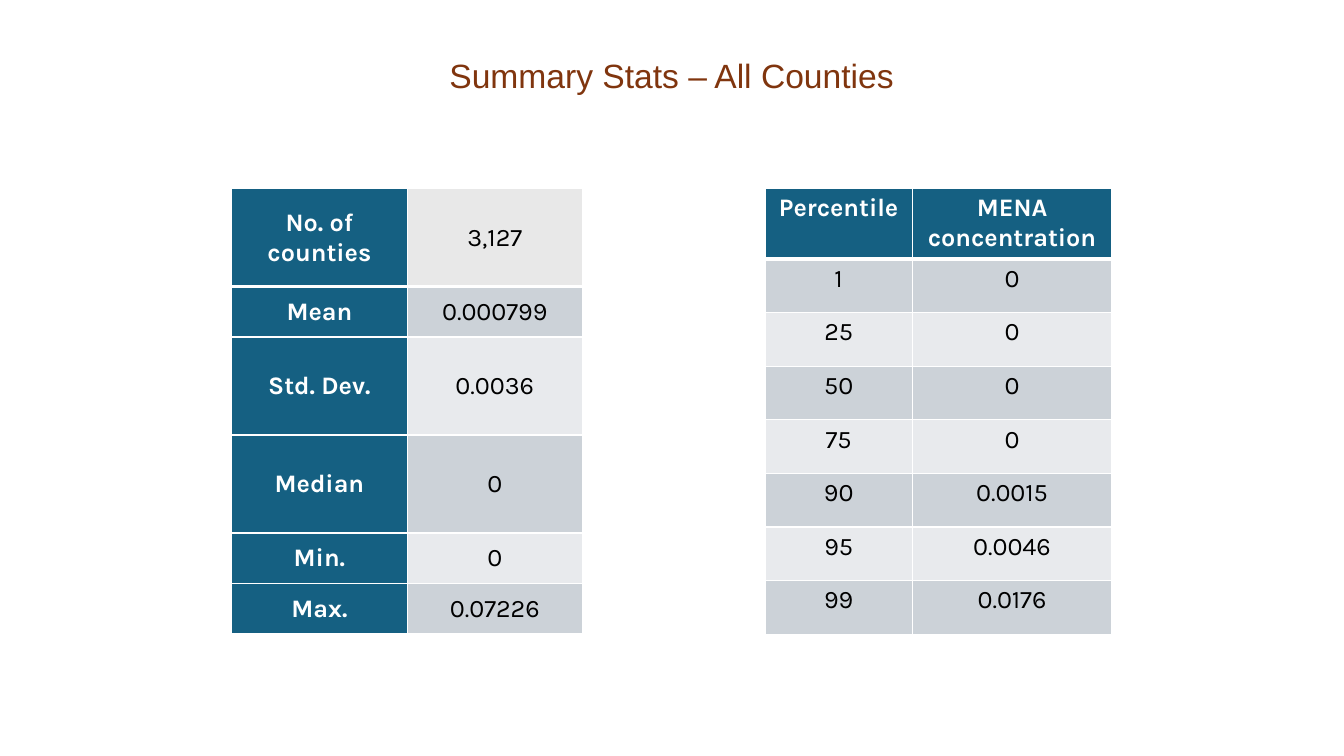
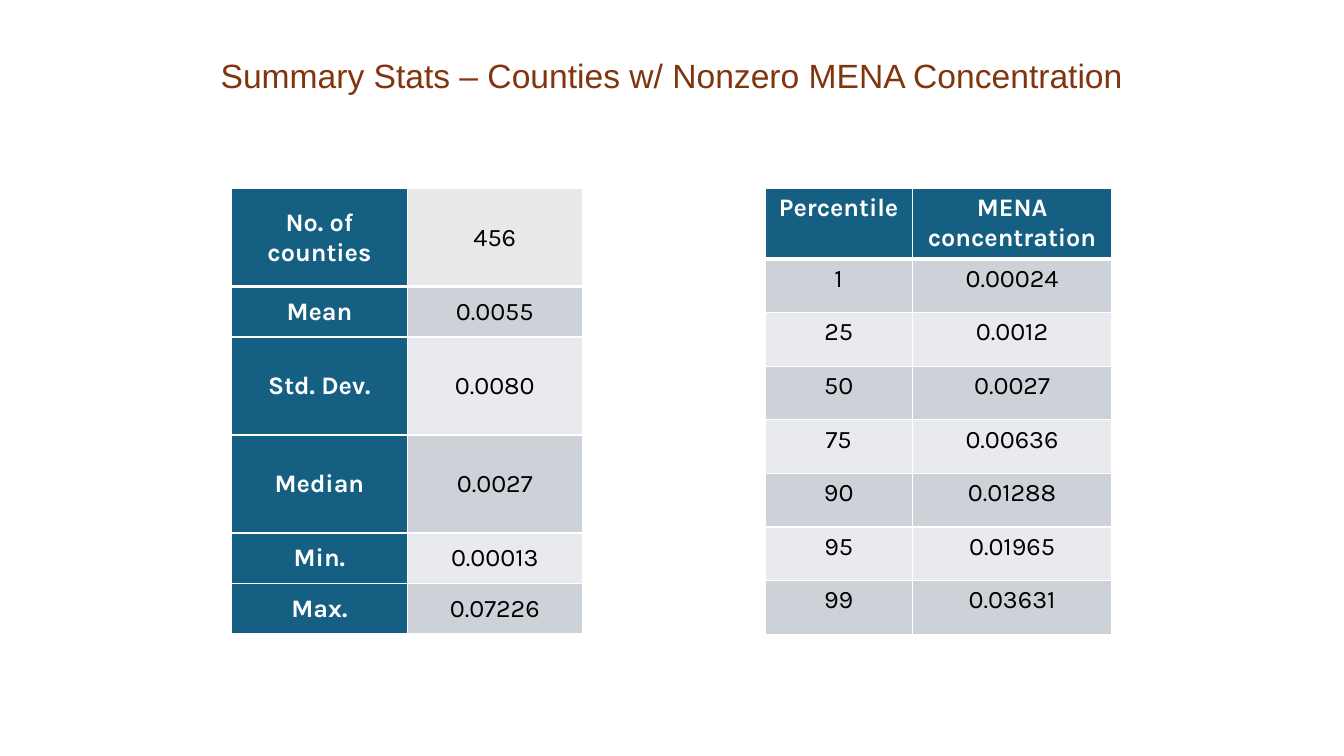
from dataclasses import dataclass

from lxml import etree
from pptx import Presentation
from pptx import util as u
from pptx.dml.color import RGBColor
from pptx.enum import text
from pptx.oxml import ns


@dataclass(frozen=True)
class Theme:
    title_color: str = "80350E"
    header_fill: str = "156082"
    header_text: str = "FFFFFF"
    body_text: str = "000000"
    count_fill: str = "E8E8E8"
    bands: tuple = ("E8EAED", "CCD2D8")
    rule: str = "FFFFFF"
    thin: float = 1
    thick: float = 3
    title_font: str = "Arial"
    table_font: str = "Karla"
    title_size: int = 24
    table_size: int = 18


THEME = Theme()
TABLE_TOP = 4.75
STATS_LEFT, STATS_COLUMNS = 5.84, (4.42, 4.42)
STATS_ROWS = (2.47, 1.27, 2.47, 2.47, 1.27, 1.27)
STATS_LABELS = ("No. of counties", "Mean", "Std. Dev.", "Median", "Min.", "Max.")
PERCENTILE_LEFT, PERCENTILE_COLUMNS = 19.28, (3.71, 5.03)
PERCENTILE_ROWS = (1.76,) + (1.35,) * 7
PERCENTILES = ("1", "25", "50", "75", "90", "95", "99")

SLIDES = (
    ("Summary Stats – All Counties",
     ("3,127", "0.000799", "0.0036", "0", "0", "0.07226"),
     ("0", "0", "0", "0", "0.0015", "0.0046", "0.0176")),
    ("Summary Stats – Counties w/ Nonzero MENA Concentration",
     ("456", "0.0055", "0.0080", "0.0027", "0.00013", "0.07226"),
     ("0.00024", "0.0012", "0.0027", "0.00636", "0.01288", "0.01965", "0.03631")),
)


def style_paragraph(para, font, size, color, bold=False):
    para.alignment = text.PP_ALIGN.CENTER
    para.font.name = font
    para.font.size = u.Pt(size)
    para.font.bold = bold
    para.font.color.rgb = RGBColor.from_string(color)


def add_title(slide, title):
    box = slide.shapes.add_textbox(u.Cm(4.06), u.Cm(1.27), u.Cm(25.73), u.Cm(1.28))
    frame = box.text_frame
    frame.word_wrap = True
    frame.auto_size = text.MSO_AUTO_SIZE.SHAPE_TO_FIT_TEXT
    frame.text = title
    style_paragraph(frame.paragraphs[0], THEME.title_font, THEME.title_size,
                    THEME.title_color)


def set_borders(cell, row):
    """Draw thin rules, with a thick one between the first two rows."""
    properties = cell._tc.get_or_add_tcPr()
    widths = {"lnL": THEME.thin, "lnR": THEME.thin,
              "lnT": THEME.thick if row == 1 else THEME.thin,
              "lnB": THEME.thick if row == 0 else THEME.thin}
    for tag, width in widths.items():
        line = etree.SubElement(properties, ns.qn(f"a:{tag}"), w=str(u.Pt(width)))
        fill = etree.SubElement(line, ns.qn("a:solidFill"))
        etree.SubElement(fill, ns.qn("a:srgbClr"), val=THEME.rule)


def fill_cell(cell, row, content, fill, is_header):
    cell.text = content
    style_paragraph(cell.text_frame.paragraphs[0], THEME.table_font, THEME.table_size,
                    THEME.header_text if is_header else THEME.body_text, is_header)
    set_borders(cell, row)
    cell.fill.solid()
    cell.fill.fore_color.rgb = RGBColor.from_string(fill)


def add_table(slide, left, columns, heights, rows, header_column=False):
    """Add a table headed by its first column or else by its first row."""
    frame = slide.shapes.add_table(len(rows), len(columns), u.Cm(left), u.Cm(TABLE_TOP),
                                   u.Cm(sum(columns)), u.Cm(sum(heights)))
    table = frame.table
    table.first_row = not header_column
    table.first_col = header_column
    table.horz_banding = False
    for column, width in zip(table.columns, columns):
        column.width = u.Cm(width)
    for row, (height, contents) in enumerate(zip(heights, rows)):
        table.rows[row].height = u.Cm(height)
        band = THEME.bands[row % 2] if row else THEME.count_fill
        for column, content in enumerate(contents):
            is_header = (column if header_column else row) == 0
            fill = THEME.header_fill if is_header else band
            fill_cell(table.cell(row, column), row, content, fill, is_header)
    return table


def add_percentile_table(slide, values):
    rows = [("Percentile", "MENA concentration"), *zip(PERCENTILES, values)]
    add_table(slide, PERCENTILE_LEFT, PERCENTILE_COLUMNS, PERCENTILE_ROWS, rows)


def add_stats_table(slide, values):
    rows = list(zip(STATS_LABELS, values))
    table = add_table(slide, STATS_LEFT, STATS_COLUMNS, STATS_ROWS, rows,
                      header_column=True)
    for cell in table.iter_cells():
        cell.vertical_anchor = text.MSO_ANCHOR.MIDDLE
        cell.margin_left = cell.margin_right = cell.margin_top = u.Cm(0.02)
        cell.margin_bottom = 0


def main():
    deck = Presentation()
    deck.slide_width, deck.slide_height = u.Cm(33.87), u.Cm(19.05)
    for title, stats, concentrations in SLIDES:
        slide = deck.slides.add_slide(deck.slide_layouts[6])
        add_title(slide, title)
        add_percentile_table(slide, concentrations)
        add_stats_table(slide, stats)
    deck.save("out.pptx")


if __name__ == "__main__":
    main()
